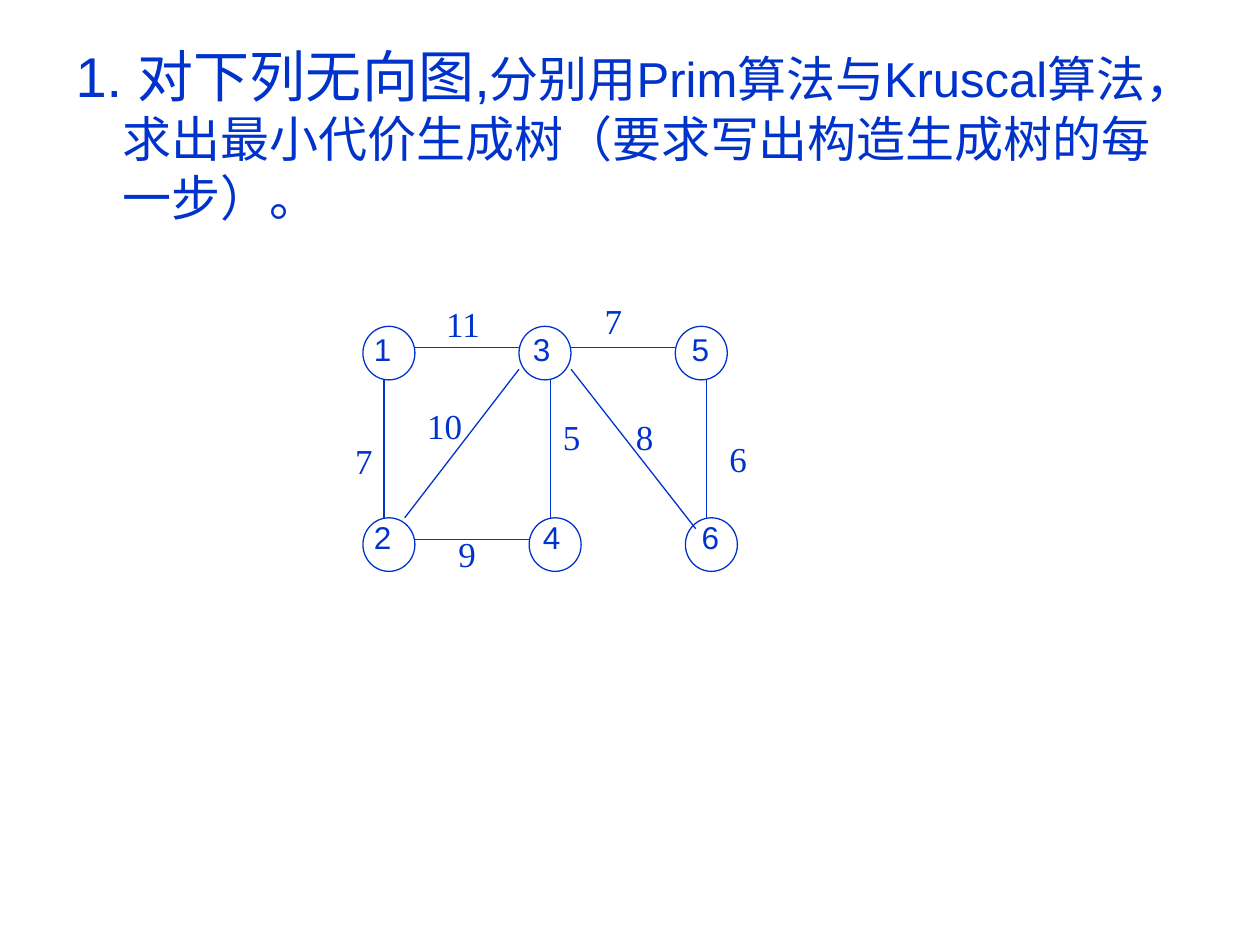
import pptx
import pptx.dml.color
import pptx.enum.shapes
import pptx.enum.text
import pptx.oxml
import pptx.oxml.ns
import pptx.util

Pt = pptx.util.Pt
BLUE = pptx.dml.color.RGBColor(0x00, 0x33, 0xCC)

QUESTION_FONT = {"name": "Arial", "size": Pt(32)}
DETAIL_FONT = {"name": "Arial", "size": Pt(28)}
NODE_FONT = {"name": "Arial", "size": Pt(18)}
WEIGHT_FONT = {"name": "Times New Roman", "size": Pt(20)}

NODE_WIDTH, NODE_HEIGHT = 29.7, 30.6
TOP_ROW, BOTTOM_ROW = 186.5, 295.9
LABEL_TOPS = {TOP_ROW: 185, BOTTOM_ROW: 292.3}

# Node number: left, top, left of its number
NODES = {
    "1": (207.4, TOP_ROW, 206.6),
    "3": (296.6, TOP_ROW, 297.4),
    "5": (385.9, TOP_ROW, 388.1),
    "2": (207.4, BOTTOM_ROW, 206.6),
    "4": (302.4, BOTTOM_ROW, 303.1),
    "6": (391.7, BOTTOM_ROW, 393.8),
}

# Rows, columns and corners that the edges run along
TOP_EDGE, BOTTOM_EDGE = 198.7, 308.2
UPPER_END, LOWER_END = 217.1, BOTTOM_ROW
EDGES = [
    (237.1, TOP_EDGE, 296.6, TOP_EDGE),
    (326.3, TOP_EDGE, 385.9, TOP_EDGE),
    (237.1, BOTTOM_EDGE, 302.4, BOTTOM_EDGE),
    (219.5, UPPER_END, 219.5, LOWER_END),
    (314.6, UPPER_END, 314.6, LOWER_END),
    (403.8, UPPER_END, 403.8, LOWER_END),
    (296.6, 211, 231.3, LOWER_END),
    (326.3, 211, 397.6, 302.2),
]

# Edge weight: text, left, top, width
WEIGHTS = [
    ("11", 247.9, 169.3, 36),
    ("7", 338.4, 167.6, 29.5),
    ("7", 195.8, 247.4, 29.5),
    ("6", 409.7, 246.3, 29.5),
    ("8", 356.3, 233.8, 29.5),
    ("5", 314.6, 233.8, 29.5),
    ("10", 237, 227.8, 41.8),
    ("9", 254.9, 300.9, 29.5),
]


def format_font(font, values):
    for attribute, value in values.items():
        setattr(font, attribute, value)
    font.color.rgb = BLUE


def format_line(line):
    line.color.rgb = BLUE
    line.width = Pt(0.75)


def add_question(slide):
    body = slide.placeholders[1]
    place = {"left": 36, "top": 20.2, "width": 648, "height": 461.5}
    for attribute, value in place.items():
        setattr(body, attribute, Pt(value))
    body.text_frame.auto_size = pptx.enum.text.MSO_AUTO_SIZE.NONE
    paragraph = body.text_frame.paragraphs[0]

    # Hanging indent without a bullet
    properties = paragraph._p.get_or_add_pPr()
    properties.set("marL", str(Pt(27)))
    properties.set("indent", str(-Pt(27)))
    properties.append(pptx.oxml.parse_xml(
        "<a:buNone %s/>" % pptx.oxml.ns.nsdecls("a")))
    paragraph.space_before = Pt(0)

    for text, values in (
        ("1. 对下列无向图,", QUESTION_FONT),
        ("分别用Prim算法与Kruscal算法，求出最小代价生成树（要求写出构造生成树的每一步）。", DETAIL_FONT),
    ):
        run = paragraph.add_run()
        run.text = text
        format_font(run.font, values)


def add_node(slide, left, top):
    node = slide.shapes.add_shape(
        pptx.enum.shapes.MSO_SHAPE.OVAL,
        Pt(left), Pt(top), Pt(NODE_WIDTH), Pt(NODE_HEIGHT))
    node.shadow.inherit = False
    node.fill.background()
    format_line(node.line)


def add_edge(slide, ends):
    edge = slide.shapes.add_connector(
        pptx.enum.shapes.MSO_CONNECTOR.STRAIGHT, *(Pt(end) for end in ends))
    format_line(edge.line)
    edge._element.spPr.append(pptx.oxml.parse_xml(
        "<a:effectLst %s/>" % pptx.oxml.ns.nsdecls("a")))


def add_label(slide, text, left, top, width, height, values):
    label = slide.shapes.add_textbox(Pt(left), Pt(top), Pt(width), Pt(height))
    label.text_frame.word_wrap = True
    run = label.text_frame.paragraphs[0].add_run()
    run.text = text
    format_font(run.font, values)


def main():
    presentation = pptx.Presentation()
    presentation.slide_width = Pt(720)
    presentation.slide_height = Pt(540)
    slide = presentation.slides.add_slide(presentation.slide_layouts[1])

    # The question stands alone, without a title
    title = slide.shapes.title._element
    title.getparent().remove(title)
    add_question(slide)

    # Graph: nodes, edges, weights, node numbers
    for left, top, _ in NODES.values():
        add_node(slide, left, top)
    for ends in EDGES:
        add_edge(slide, ends)
    for text, left, top, width in WEIGHTS:
        add_label(slide, text, left, top, width, 31, WEIGHT_FONT)
    for number, (_, row, left) in NODES.items():
        add_label(slide, number, left, LABEL_TOPS[row], 24, 28.8, NODE_FONT)

    presentation.save("out.pptx")


if __name__ == "__main__":
    main()
